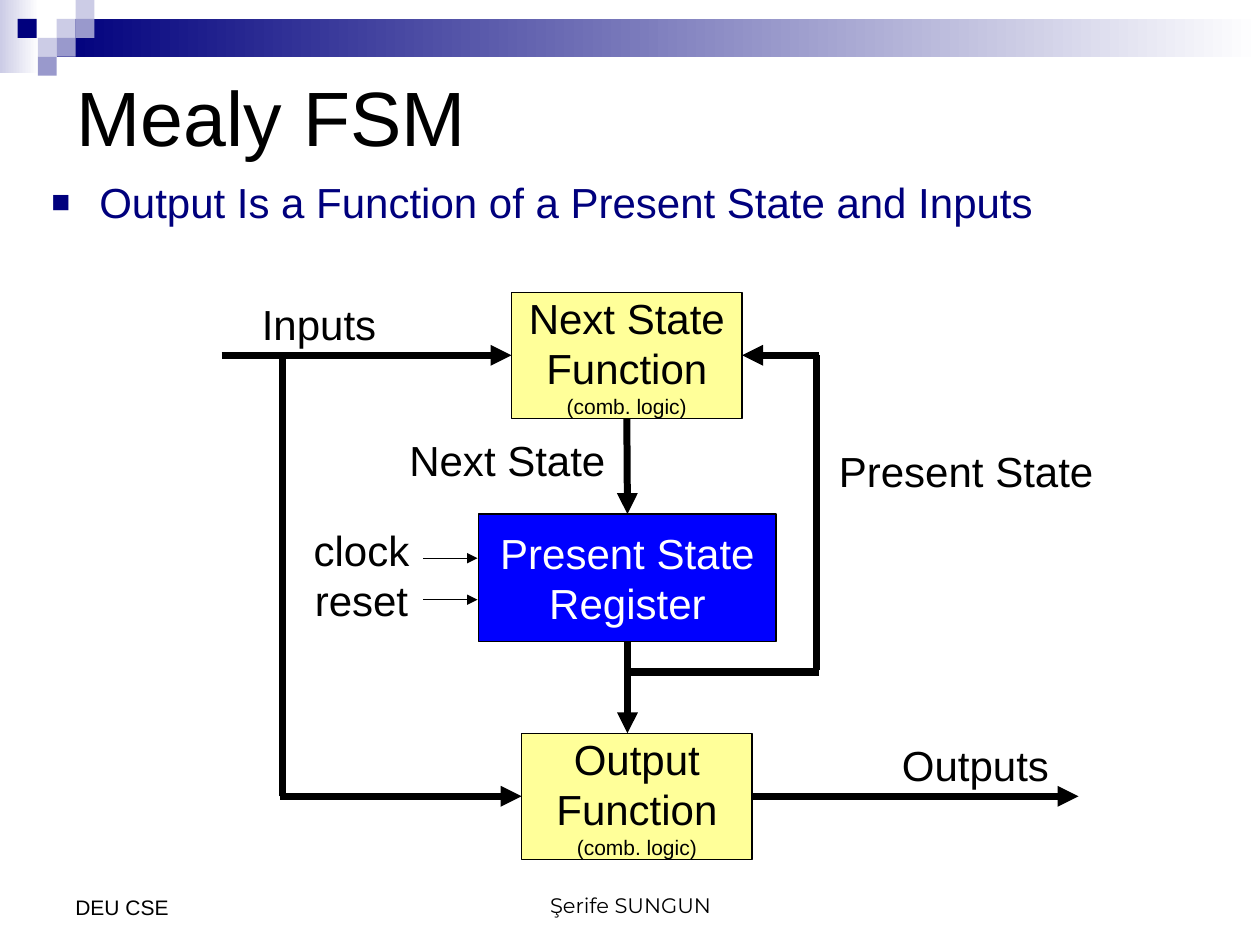
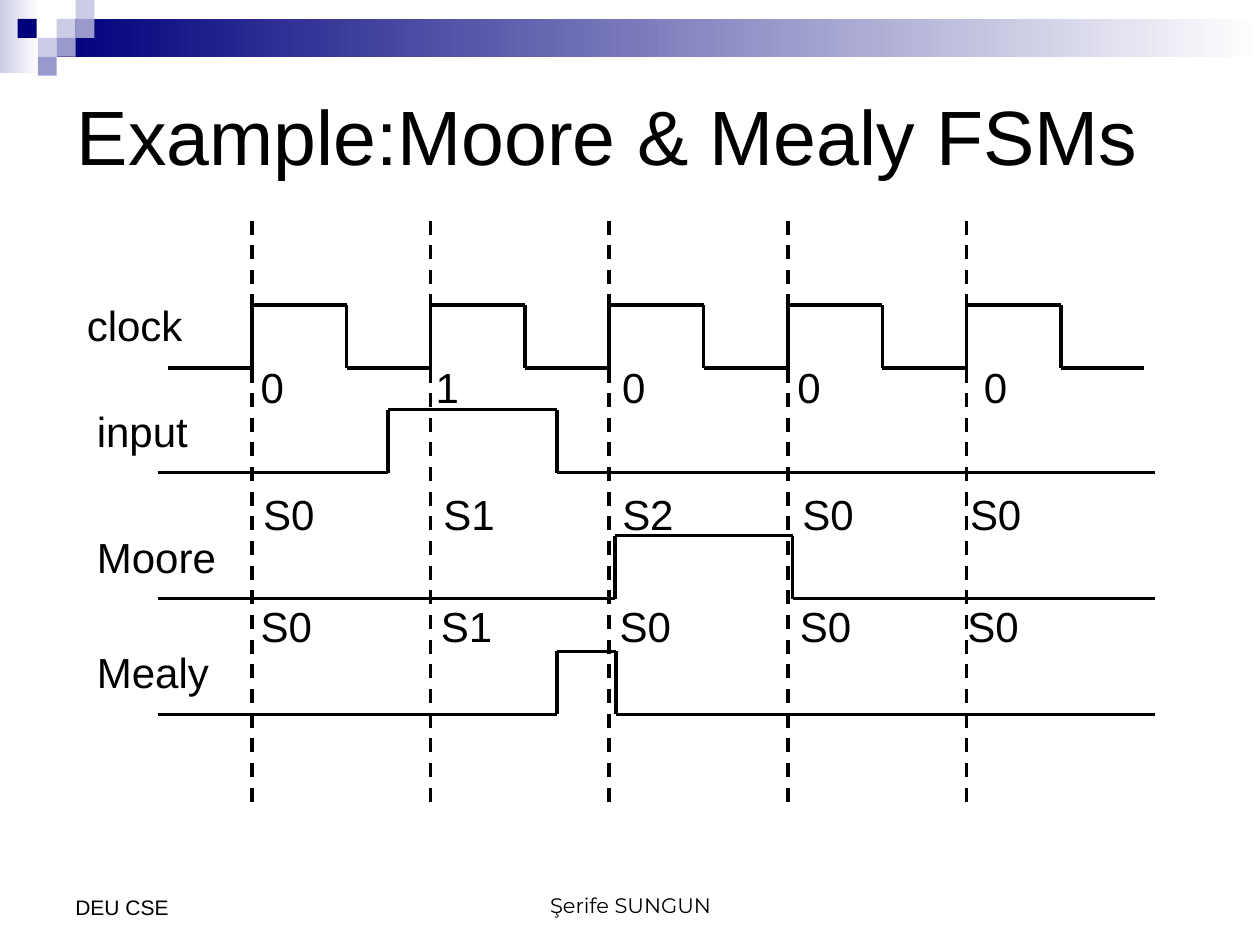
import itertools
from dataclasses import dataclass
from typing import Optional

import pptx
import pptx.dml.color
import pptx.enum.dml
import pptx.enum.shapes
import pptx.enum.text
import pptx.oxml
import pptx.oxml.ns
import pptx.util
from pptx.util import Inches

NAVY, LAVENDER, VIOLET = "00007D", "CCCCE6", "9999CC"
BLACK, WHITE, YELLOW, BLUE = "000000", "FFFFFF", "FFFF99", "0000FF"
BODY_FONT, AUTHOR_FONT = "Arial", "Montserrat"
TITLE_SIZE, TEXT_SIZE, SMALL_SIZE = 44, 24, 12
THICK, MEDIUM, THIN = 4, 2, 0.75

ALIGN = pptx.enum.text.PP_ALIGN
ANCHOR = pptx.enum.text.MSO_ANCHOR
RECTANGLE = pptx.enum.shapes.MSO_SHAPE.RECTANGLE
STRAIGHT = pptx.enum.shapes.MSO_CONNECTOR.STRAIGHT
TOP, LEFT, BOTTOM, RIGHT = range(4)

Point = tuple[float, float]


@dataclass
class Area:
    left: float
    top: float
    width: float
    height: float

    def lengths(self) -> list:
        return [Inches(v) for v in (self.left, self.top, self.width, self.height)]


@dataclass
class Label:
    text: str
    area: Area


@dataclass
class Block:
    name: str
    area: Area
    lines: list[str]
    fill: str
    text_color: str = BLACK
    note: str = ""


@dataclass
class Wire:
    """A straight line; begin and end may name a block and one of its sides."""
    start: Point
    stop: Point
    width: float = THICK
    arrow: bool = True
    begin: Optional[tuple[str, int]] = None
    end: Optional[tuple[str, int]] = None


@dataclass
class Wave:
    """A signal that starts low and changes level at each toggle."""
    label: Label
    low: float
    start: float
    stop: float
    toggles: list[float]


@dataclass
class ValueRow:
    values: list[str]
    area: Area
    stops: list[float]


# Shared frame of every slide
TILE = 0.15
TILES = [
    (0.45, 0.15, LAVENDER), (0.6, 0, LAVENDER), (0.6, 0.15, VIOLET),
    (0.3, 0.3, LAVENDER), (0.14, 0.15, NAVY), (0.45, 0.3, VIOLET),
    (0.3, 0.45, VIOLET),
]
BANDS = [(Area(0, 0, 0.31, 0.58), LAVENDER), (Area(0.45, 0.15, 9.55, 0.3), NAVY)]

# Mealy machine diagram
BLOCKS = [
    Block("next", Area(4.06, 2.32, 1.83, 1), ["Next State", "Function"], YELLOW,
          note="(comb. logic)"),
    Block("output", Area(4.14, 5.82, 1.83, 1), ["Output", "Function"], YELLOW,
          note="(comb. logic)"),
    Block("register", Area(3.8, 4.08, 2.36, 1.01), ["Present State", "Register"],
          BLUE, WHITE),
]
WIRES = [
    Wire((1.76, 2.82), (4.06, 2.82), end=("next", LEFT)),
    Wire((6.48, 5.32), (6.48, 2.82), arrow=False),
    Wire((6.5, 2.82), (5.89, 2.82), end=("next", RIGHT)),
    Wire((4.98, 3.32), (4.98, 4.08), begin=("next", BOTTOM), end=("register", TOP)),
    Wire((5.97, 6.32), (8.56, 6.32), begin=("output", RIGHT)),
    Wire((4.98, 5.09), (4.98, 5.82), begin=("register", BOTTOM)),
    Wire((2.24, 6.32), (2.24, 2.82), arrow=False),
    Wire((2.22, 6.32), (4.14, 6.32), end=("output", LEFT)),
    Wire((3.36, 4.43), (3.79, 4.43), THIN),
    Wire((3.36, 4.76), (3.79, 4.76), THIN),
    Wire((6.5, 5.33), (5, 5.33), 4.5, arrow=False),
]
DIAGRAM_LABELS = [
    Label("Inputs", Area(1.98, 2.32, 1.2, 0.5)),
    Label("Present State", Area(6.56, 3.49, 2.3, 0.5)),
    Label("Next State", Area(3.15, 3.4, 1.82, 0.5)),
    Label("Outputs", Area(7.06, 5.82, 1.45, 0.5)),
    Label("clock", Area(2.39, 4.11, 1.05, 0.5)),
    Label("reset", Area(2.4, 4.51, 1.05, 0.5)),
]

# Timing diagram
SWING = 0.5
CLOCK_HIGH = 0.75
CLOCK_PERIOD = (7.67 - 2) / 4
RISING_EDGES = [2 + CLOCK_PERIOD * i for i in range(5)]
CLOCK_TOGGLES = [x for edge in RISING_EDGES for x in (edge, edge + CLOCK_HIGH)]
WAVES = [
    Wave(Label("clock", Area(0.59, 2.33, 1.25, 0.5)), 2.92, 1.33, 9.08, CLOCK_TOGGLES),
    Wave(Label("input", Area(0.67, 3.17, 1.25, 0.5)), 3.75, 1.25, 9.17, [3.08, 4.42]),
    Wave(Label("Moore", Area(0.67, 4.17, 1.25, 0.5)), 4.75, 1.25, 9.17, [4.88, 6.29]),
    Wave(Label("Mealy", Area(0.67, 5.08, 1.25, 0.5)), 5.67, 1.25, 9.17, [4.42, 4.89]),
]
STATE_STOPS = [1.43, 2.85, 4.28, 5.61]
VALUE_ROWS = [
    ValueRow(["0", "1", "0", "0", "0"], Area(1.97, 2.82, 6.13, 0.5),
             [1.39, 2.87, 4.26, 5.74]),
    ValueRow(["S0", "S1", "S2", "S0", "S0"], Area(1.99, 3.83, 6.22, 0.5), STATE_STOPS),
    ValueRow(["S0", "S1", "S0", "S0", "S0"], Area(1.97, 4.72, 6.22, 0.5), STATE_STOPS),
]


def rgb(color: str):
    return pptx.dml.color.RGBColor.from_string(color)


def style(para, size: float, color: str = BLACK, font: str = BODY_FONT,
          align=ALIGN.LEFT) -> None:
    para.alignment = align
    para.font.size = pptx.util.Pt(size)
    para.font.name = font
    para.font.color.rgb = rgb(color)


def add_element(parent, tag: str, **attributes: str):
    child = pptx.oxml.parse_xml(f"<a:{tag} {pptx.oxml.ns.nsdecls('a')}/>")
    for name, value in attributes.items():
        child.set(name, value)
    parent.append(child)
    return child


def add_rectangle(page, area: Area, fill: str, fades: bool = False):
    box = page.shapes.add_shape(RECTANGLE, *area.lengths())
    box.shadow.inherit = False
    box.line.fill.background()
    if fades:
        box.fill.gradient()
        box.fill.gradient_angle = 0
        for stop, color, position in zip(box.fill.gradient_stops, (fill, WHITE), (0, 1)):
            stop.color.rgb = rgb(color)
            stop.position = position
    else:
        box.fill.solid()
        box.fill.fore_color.rgb = rgb(fill)
    return box


def add_frame(page, area: Area):
    frame = page.shapes.add_textbox(*area.lengths()).text_frame
    frame.word_wrap = True
    return frame


def add_text(page, text: str, area: Area, size: float = TEXT_SIZE, font: str = BODY_FONT,
             align=ALIGN.LEFT, anchor=ANCHOR.TOP) -> None:
    frame = add_frame(page, area)
    frame.vertical_anchor = anchor
    frame.text = text
    style(frame.paragraphs[0], size, font=font, align=align)


def add_line(page, start: Point, stop: Point, width: float, arrow: bool = False,
             dashed: bool = False):
    line = page.shapes.add_connector(STRAIGHT, *[Inches(v) for v in start + stop])
    line.line.width = pptx.util.Pt(width)
    line.line.color.rgb = rgb(BLACK)
    if dashed:
        line.line.dash_style = pptx.enum.dml.MSO_LINE.DASH
    if arrow:
        add_element(line.line._get_or_add_ln(), "tailEnd", type="triangle")
    add_element(line._element.spPr, "effectLst")
    return line


def add_page(deck, title: str, title_top: float):
    """Add a title-only slide with the shared band, tiles, footers and title."""
    page = deck.slides.add_slide(deck.slide_layouts[5])
    for area, color in BANDS:
        add_rectangle(page, area, color, fades=True)
    for left, top, color in TILES:
        add_rectangle(page, Area(left, top, TILE, TILE), color)
    add_text(page, "Şerife SUNGUN", Area(3.42, 6.83, 3.17, 0.5), SMALL_SIZE, AUTHOR_FONT,
             ALIGN.CENTER, ANCHOR.BOTTOM)
    add_text(page, "DEU CSE", Area(0.5, 6.83, 2.33, 0.52), SMALL_SIZE,
             anchor=ANCHOR.BOTTOM)

    heading = page.shapes.title
    heading.left, heading.top, heading.width, heading.height = Area(
        0.51, title_top, 9, 1.5).lengths()
    frame = heading.text_frame
    frame.text = title
    frame.auto_size = pptx.enum.text.MSO_AUTO_SIZE.NONE
    frame.vertical_anchor = ANCHOR.MIDDLE
    frame.margin_left = Inches(0.1)
    style(frame.paragraphs[0], TITLE_SIZE)
    return page


def add_bullet(page, text: str, area: Area) -> None:
    frame = add_frame(page, area)
    frame.text = text
    para = frame.paragraphs[0]
    properties = para._p.get_or_add_pPr()
    properties.set("marL", str(Inches(0.38)))
    properties.set("indent", str(-Inches(0.38)))
    add_element(add_element(properties, "buClr"), "srgbClr", val=NAVY)
    add_element(properties, "buSzPct", val="75000")
    add_element(properties, "buFont", typeface=BODY_FONT)
    add_element(properties, "buChar", char="■")
    para.line_spacing = 0.8
    style(para, TEXT_SIZE, NAVY)


def add_block(page, block: Block):
    box = add_rectangle(page, block.area, block.fill)
    box.line.color.rgb = rgb(BLACK)
    box.line.width = pptx.util.Pt(THIN)
    frame = box.text_frame
    frame.word_wrap = False
    frame.vertical_anchor = ANCHOR.MIDDLE
    frame.text = "\n".join(block.lines + ([block.note] if block.note else []))
    for para in frame.paragraphs:
        size = SMALL_SIZE if para.text == block.note else TEXT_SIZE
        style(para, size, block.text_color, align=ALIGN.CENTER)
    return box


def add_wave(page, wave: Wave) -> None:
    points = [(wave.start, wave.low)]
    for x, (before, after) in zip(wave.toggles, itertools.cycle([(0, SWING), (SWING, 0)])):
        points += [(x, wave.low - before), (x, wave.low - after)]
    points.append((wave.stop, wave.low))
    for start, stop in itertools.pairwise(points):
        add_line(page, start, stop, MEDIUM)
    add_text(page, wave.label.text, wave.label.area)


def add_value_row(page, row: ValueRow) -> None:
    para = add_frame(page, row.area).paragraphs[0]
    para.text = "\t".join(row.values)
    tabs = add_element(para._p.get_or_add_pPr(), "tabLst")
    for stop in row.stops:
        add_element(tabs, "tab", pos=str(Inches(stop)), algn="l")
    style(para, TEXT_SIZE)


def build_mealy_page(deck) -> None:
    page = add_page(deck, "Mealy FSM", 0.17)
    add_bullet(page, "Output Is a Function of a Present State and Inputs",
               Area(0.31, 1.43, 9.17, 0.92))
    boxes = {block.name: add_block(page, block) for block in BLOCKS}
    for wire in WIRES:
        line = add_line(page, wire.start, wire.stop, wire.width, wire.arrow)
        if wire.begin:
            line.begin_connect(boxes[wire.begin[0]], wire.begin[1])
        if wire.end:
            line.end_connect(boxes[wire.end[0]], wire.end[1])
    for label in DIAGRAM_LABELS:
        add_text(page, label.text, label.area)


def build_timing_page(deck) -> None:
    page = add_page(deck, "Example:Moore & Mealy FSMs", 0.32)
    for x in RISING_EDGES:
        add_line(page, (x, 1.75), (x, 6.42), MEDIUM, dashed=True)
    for wave in WAVES:
        add_wave(page, wave)
    for row in VALUE_ROWS:
        add_value_row(page, row)


def main() -> None:
    deck = pptx.Presentation()
    deck.slide_width, deck.slide_height = Inches(10), Inches(7.5)
    build_mealy_page(deck)
    build_timing_page(deck)
    deck.save("out.pptx")


if __name__ == "__main__":
    main()
